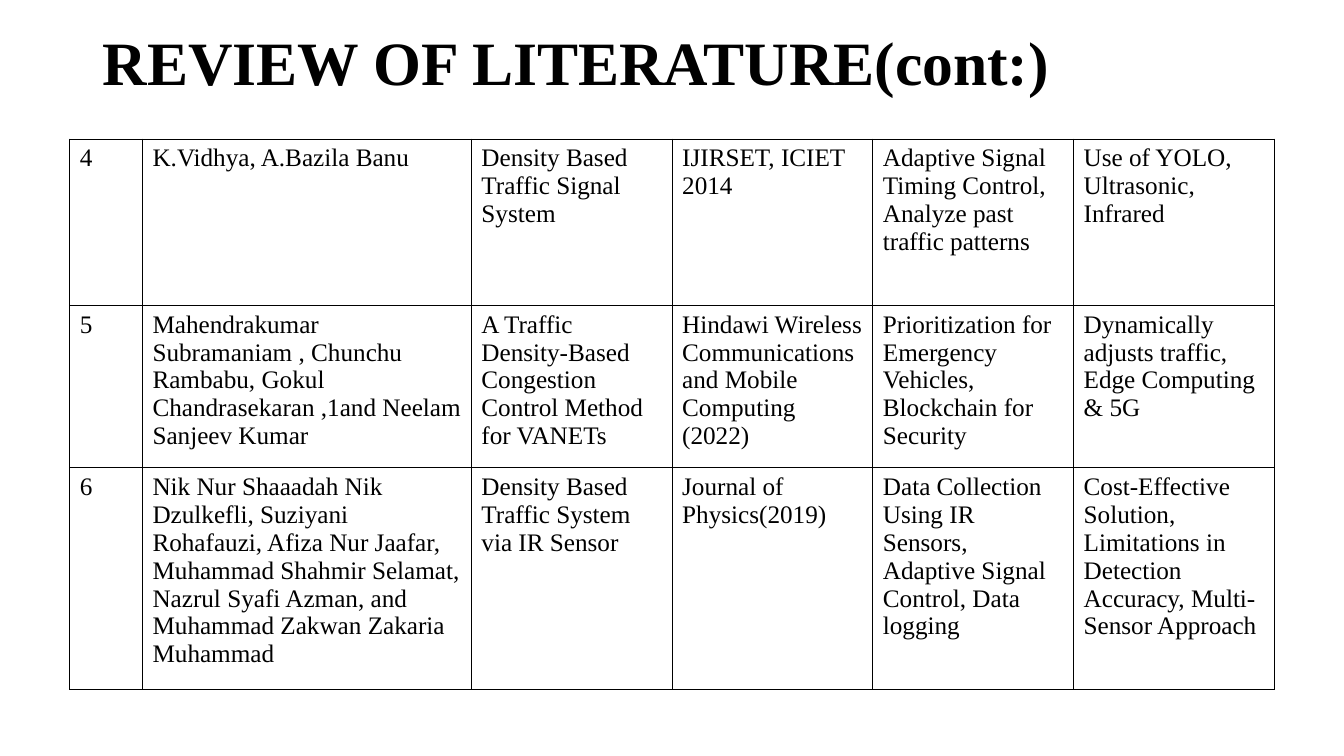
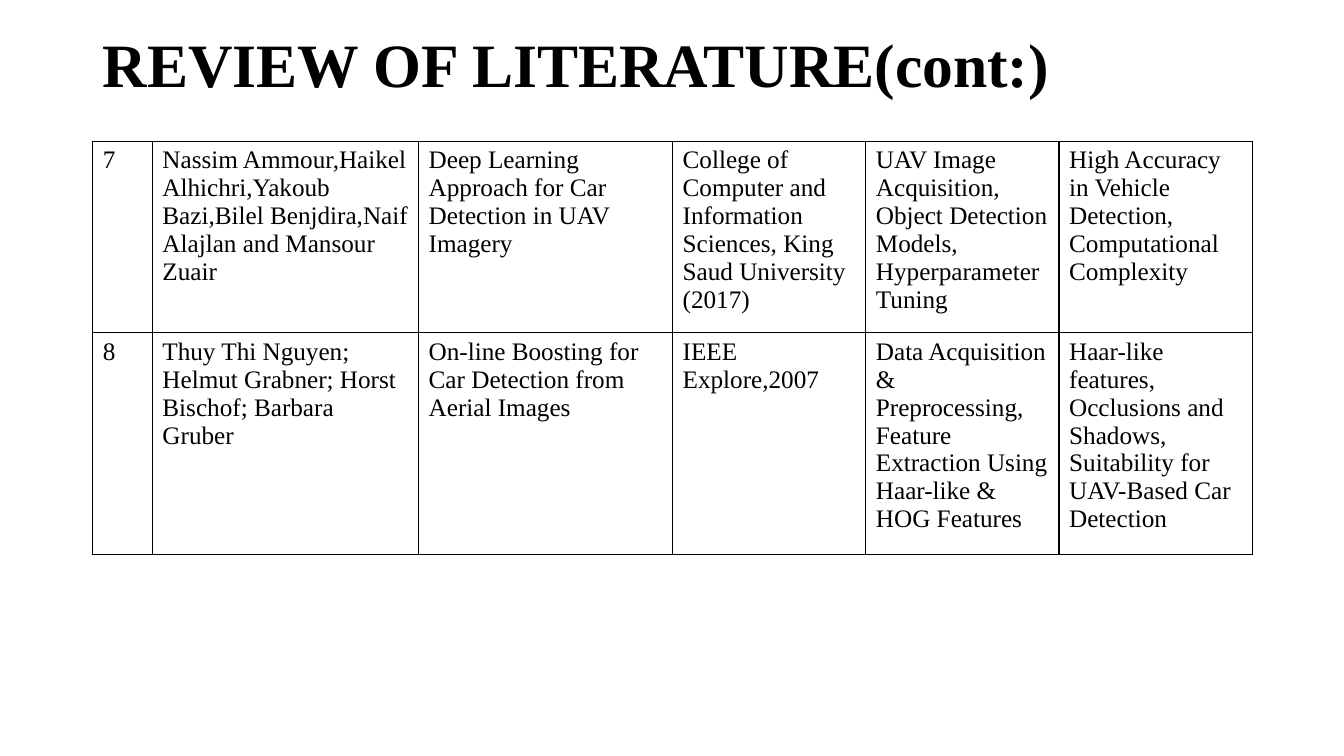
import pptx
import pptx.dml.color
import pptx.enum.text
import pptx.oxml
import pptx.oxml.ns
import pptx.util

Cm = pptx.util.Cm
Pt = pptx.util.Pt
HEADING = "REVIEW OF LITERATURE(cont:)"

SLIDES = [
    {
        "title_top": -0.18,
        "left": 1.76,
        "top": 3.51,
        "cols": [1.83, 8.29] + [5.06] * 4,
        "rows": [4.19, 4.09, 5.21],
        "cells": [
            ["4", "K.Vidhya, A.Bazila Banu", "Density Based Traffic Signal System",
             "IJIRSET, ICIET 2014",
             "Adaptive Signal Timing Control, Analyze past traffic patterns",
             "Use of YOLO, Ultrasonic,\nInfrared"],
            ["5", "Mahendrakumar Subramaniam , Chunchu Rambabu, Gokul "
                  "Chandrasekaran ,1and Neelam Sanjeev Kumar",
             "A Traffic Density-Based Congestion Control Method for VANETs",
             "Hindawi Wireless Communications and Mobile Computing\n(2022)",
             "Prioritization for Emergency Vehicles, Blockchain for Security",
             "Dynamically adjusts traffic, Edge Computing & 5G"],
            ["6", "Nik Nur Shaaadah Nik Dzulkefli, Suziyani Rohafauzi, Afiza Nur Jaafar, "
                  "Muhammad Shahmir Selamat, Nazrul Syafi Azman, and "
                  "Muhammad Zakwan Zakaria Muhammad",
             "Density Based Traffic System via IR Sensor",
             "Journal of Physics(2019)",
             "Data Collection Using IR Sensors, Adaptive Signal Control, Data logging",
             "Cost-Effective Solution, Limitations in Detection Accuracy, "
             "Multi-Sensor Approach"],
        ],
    },
    {
        "title_top": -0.13,
        "left": 2.34,
        "top": 3.56,
        "cols": [1.5, 6.71, 6.4] + [4.87] * 3,
        "rows": [4.54, 5.2],
        "cells": [
            ["7", "Nassim Ammour,Haikel Alhichri,Yakoub Bazi,Bilel Benjdira,"
                  "Naif Alajlan and Mansour Zuair",
             "Deep Learning Approach for Car Detection in UAV Imagery",
             "College of Computer and Information Sciences, King Saud University\n(2017)",
             "UAV Image Acquisition, Object Detection Models, Hyperparameter Tuning",
             "High Accuracy in Vehicle Detection, Computational Complexity"],
            ["8", "Thuy Thi Nguyen; Helmut Grabner; Horst Bischof; Barbara Gruber",
             "On-line Boosting for Car Detection from Aerial Images",
             "IEEE Explore,2007",
             "Data Acquisition & Preprocessing, Feature Extraction Using "
             "Haar-like & HOG Features",
             "Haar-like features, Occlusions and Shadows, Suitability for "
             "UAV-Based Car Detection"],
        ],
    },
]


class Deck:
    """Holds the style and the current slide."""

    COLORS = {"ink": "000000", "paper": "FFFFFF"}
    TITLE = {"name": "Times New Roman", "size": Pt(44), "bold": True}
    BODY = {"name": "Times New Roman", "size": Pt(18), "bold": False}
    BORDER = Pt(1)

    def __init__(self):
        self.prs = pptx.Presentation()
        self.prs.slide_width = Cm(33.87)
        self.prs.slide_height = Cm(19.05)
        self.s = None

    def color(self, key):
        return pptx.dml.color.RGBColor.from_string(self.COLORS[key])

    def add_slide(self):
        self.s = self.prs.slides.add_slide(self.prs.slide_layouts[6])
        fill = self.s.background.fill
        fill.solid()
        fill.fore_color.rgb = self.color("paper")

    def set_text(self, tf, text, style):
        """Fill a text frame, one paragraph per line of text."""
        tf.text = text
        tf.word_wrap = True
        for p in tf.paragraphs:
            for r in p.runs:
                for key, value in style.items():
                    setattr(r.font, key, value)
                r.font.color.rgb = self.color("ink")

    def title(self, text, top):
        tf = self.s.shapes.add_textbox(Cm(2.34), Cm(top), Cm(29.21), Cm(3.68)).text_frame
        self.set_text(tf, text, self.TITLE)
        tf.vertical_anchor = pptx.enum.text.MSO_ANCHOR.MIDDLE
        tf.paragraphs[0].line_spacing = 0.9

    def border(self, cell):
        tcPr = cell._tc.get_or_add_tcPr()
        for side in ("lnL", "lnR", "lnT", "lnB"):
            tcPr.append(pptx.oxml.parse_xml(
                f'<a:{side} {pptx.oxml.ns.nsdecls("a")} w="{self.BORDER}"><a:solidFill>'
                f'<a:srgbClr val="{self.COLORS["ink"]}"/></a:solidFill></a:{side}>'))

    def table(self, left, top, cols, rows, cells):
        table = self.s.shapes.add_table(
            len(rows), len(cols), Cm(left), Cm(top), Cm(sum(cols)), Cm(sum(rows))).table
        table.first_row = table.horz_banding = False
        for column, width in zip(table.columns, cols):
            column.width = Cm(width)
        for row, height, texts in zip(table.rows, rows, cells):
            row.height = Cm(height)
            for cell, text in zip(row.cells, texts):
                self.set_text(cell.text_frame, text, self.BODY)
                self.border(cell)
                cell.fill.background()


def main():
    deck = Deck()
    for page in SLIDES:
        deck.add_slide()
        deck.title(HEADING, page["title_top"])
        deck.table(*(page[key] for key in ("left", "top", "cols", "rows", "cells")))
    deck.prs.save("out.pptx")


if __name__ == "__main__":
    main()
